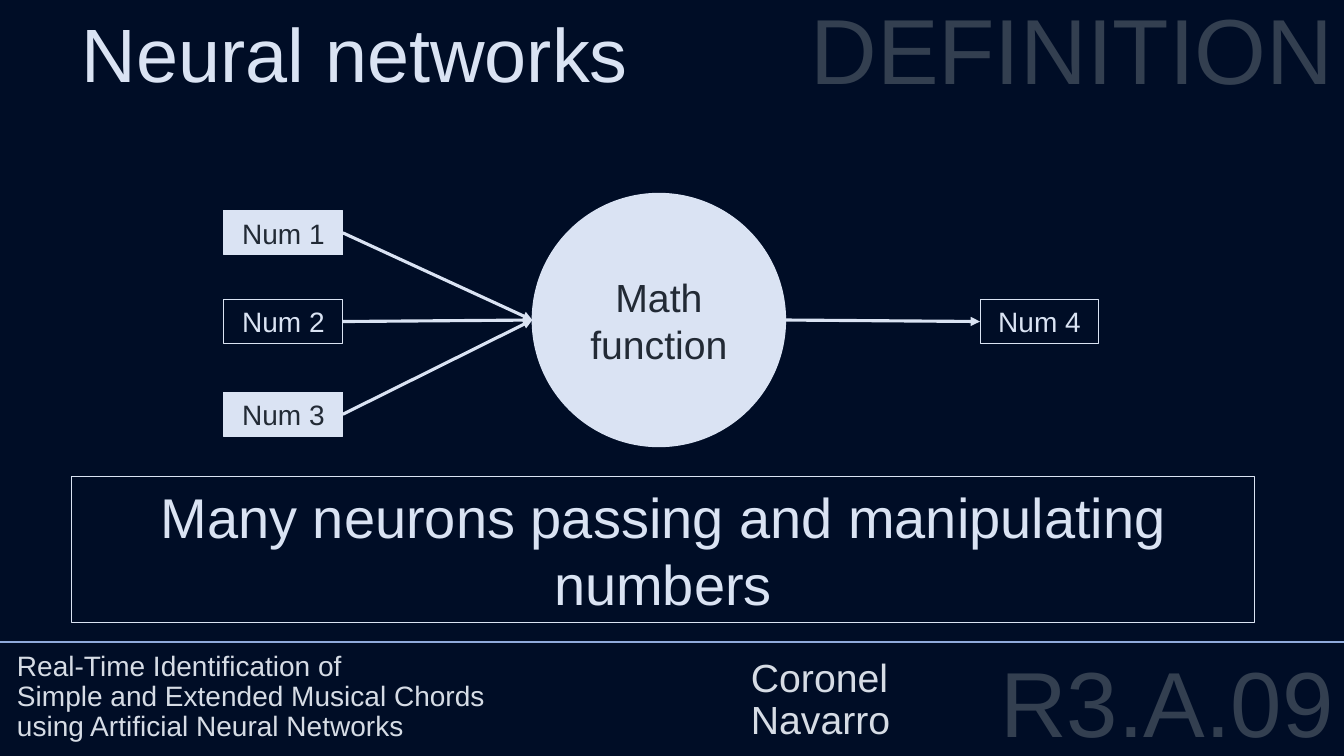
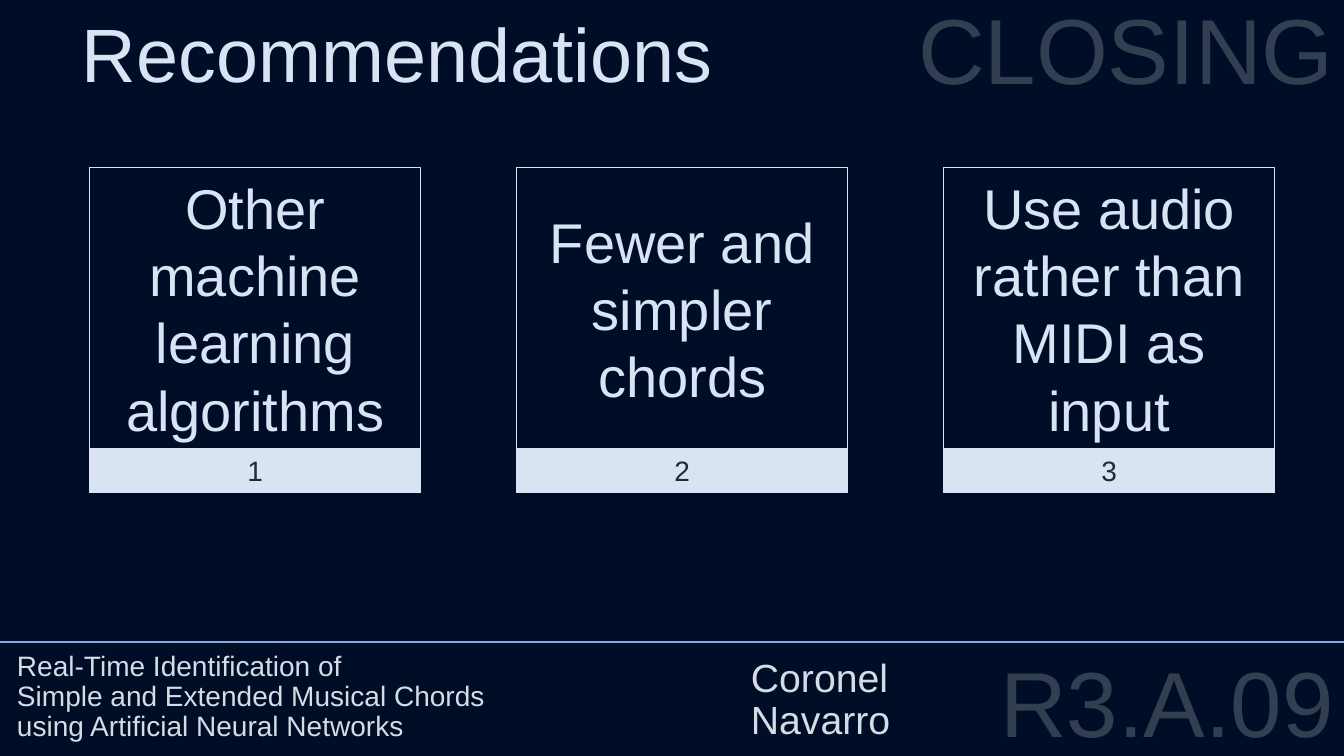
"""Build two dark slides on neural networks and recommendations."""
from lxml import etree
from pptx import Presentation
from pptx import util as u
from pptx.dml.color import RGBColor
from pptx.enum import shapes, text
from pptx.oxml.ns import qn

INK = {"night": "000D26", "pale": "DAE3F3", "dark": "222A35",
       "ghost": "333F50", "grey": "D6DCE5", "rule": "8FAADC"}
FONT = "Arial"
KIND = shapes.MSO_SHAPE
SIDE = text.PP_ALIGN
SPOT = text.MSO_ANCHOR
WIDE, HIGH = 13.33, 7.5


def put(page, kind, at, lines, size, ink="pale", fill=None, edge=0.75,
        side=SIDE.CENTER, spot=SPOT.MIDDLE, lead=1.0, gap=0):
    """Place text in the title, a text box or a preset shape."""
    box = [u.Inches(n) for n in at]
    if kind == "title":
        item = page.shapes.title
        item.left, item.top, item.width, item.height = box
    elif kind == "text":
        item = page.shapes.add_textbox(*box)
    else:
        item = page.shapes.add_shape(kind, *box)
        item.shadow.inherit = False
        if fill:
            item.fill.solid()
            item.fill.fore_color.rgb = RGBColor.from_string(INK[fill])
        else:
            item.fill.background()
        item.line.color.rgb = RGBColor.from_string(INK["pale"])
        item.line.width = u.Pt(edge)
    frame = item.text_frame
    frame.word_wrap = True
    frame.auto_size = text.MSO_AUTO_SIZE.NONE
    frame.vertical_anchor = spot
    for i, words in enumerate(lines):
        para = frame.add_paragraph() if i else frame.paragraphs[0]
        para.alignment = side
        para.line_spacing = lead
        para.space_before = u.Pt(gap)
        run = para.add_run()
        run.text = words
        run.font.name = FONT
        run.font.size = u.Pt(size)
        run.font.color.rgb = RGBColor.from_string(INK[ink])
    return item


def link(page, start, end, ink, width, head=False):
    """Draw a straight line, with an arrowhead at its end if asked."""
    line = page.shapes.add_connector(
        shapes.MSO_CONNECTOR.STRAIGHT, *[u.Inches(n) for n in (*start, *end)])
    line.line.color.rgb = RGBColor.from_string(INK[ink])
    line.line.width = u.Pt(width)
    props = line._element.spPr
    if head:
        etree.SubElement(props.find(qn("a:ln")), qn("a:tailEnd"), type="triangle")
    etree.SubElement(props, qn("a:effectLst"))
    return line


deck = Presentation()
deck.slide_width, deck.slide_height = u.Inches(WIDE), u.Inches(HIGH)
back = deck.slide_master.background.fill
back.solid()
back.fore_color.rgb = RGBColor.from_string(INK["night"])

pages = []
for title, part in (("Neural networks", "DEFINITION"),
                    ("Recommendations", "CLOSING")):
    page = deck.slides.add_slide(deck.slide_layouts[5])
    pages.append(page)
    put(page, "text", (8.46, 6.56, 4.87, 1.04), ["R3.A.09"], 66, "ghost",
        side=SIDE.RIGHT, spot=SPOT.TOP, lead=0.8, gap=10)
    put(page, "text", (2.22, 0, 11.11, 3.58), [part], 66, "ghost",
        side=SIDE.RIGHT, spot=SPOT.TOP, lead=0.9, gap=10)
    put(page, "title", (0.71, 0.02, 8.35, 1.01), [title], 54,
        side=SIDE.LEFT, spot=SPOT.TOP)
    link(page, (0, 6.37), (WIDE, 6.37), "rule", 1.5)
    put(page, "text", (0.07, 4.43, 7.28, 2.99),
        ["Real-Time Identification of", "Simple and Extended Musical Chords",
         "using Artificial Neural Networks"], 20, "grey",
        side=SIDE.LEFT, spot=SPOT.BOTTOM, lead=0.9)
    put(page, "text", (7.35, 4.43, 5.1, 2.99), ["Coronel", "Navarro"], 28, "grey",
        side=SIDE.LEFT, spot=SPOT.BOTTOM, lead=0.9)

net, tips = pages

left, top, size = 5.28, 1.92, 2.51
mid = top + size / 2
put(net, KIND.OVAL, (left, top, size, size), ["Math function"], 28, "dark", "pale", 1)
for name, x, y, full in (("Num 1", 2.22, 2.09, True), ("Num 2", 2.22, 2.97, False),
                         ("Num 3", 2.22, 3.89, True), ("Num 4", 9.72, 2.97, False)):
    ink, fill = ("dark", "pale") if full else ("pale", None)
    num = put(net, KIND.RECTANGLE, (x, y, 1.18, 0.44), [name], 20, ink, fill)
    if x < left:
        link(net, (x + 1.18, y + 0.22), (left, mid), "pale", 2.25, True).begin_connect(num, 3)
    else:
        link(net, (left + size, mid), (x, y + 0.22), "pale", 2.25, True).end_connect(num, 1)
put(net, KIND.RECTANGLE, (0.71, 4.73, 11.73, 1.45),
    ["Many neurons passing and manipulating numbers"], 40)

for i, tip in enumerate(("Other machine learning algorithms",
                         "Fewer and simpler chords",
                         "Use audio rather than MIDI as input")):
    x = 0.89 + i * 4.235
    put(tips, KIND.RECTANGLE, (x, 1.66, 3.28, 2.79), [tip], 40)
    put(tips, KIND.RECTANGLE, (x, 4.45, 3.28, 0.44), [str(i + 1)], 20, "dark", "pale")

deck.save("out.pptx")
